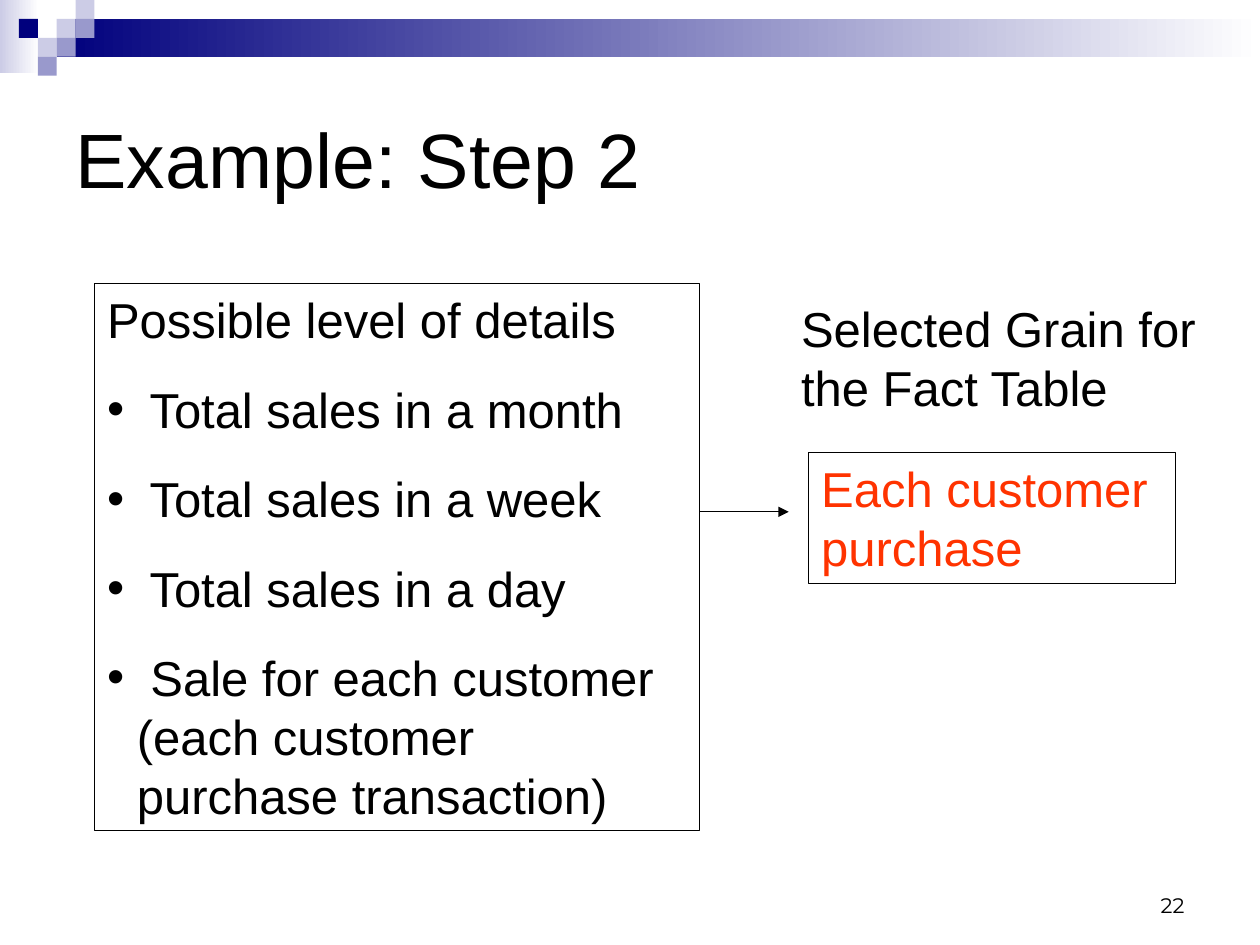
from dataclasses import dataclass
from typing import Optional

from lxml.etree import SubElement
from pptx import Presentation
from pptx.dml.color import RGBColor
from pptx.enum.shapes import MSO_CONNECTOR, MSO_SHAPE
from pptx.enum.text import MSO_ANCHOR, MSO_AUTO_SIZE, PP_ALIGN
from pptx.oxml.ns import qn
from pptx.util import Pt


@dataclass(frozen=True)
class Theme:
    ink: str = "000000"
    accent: str = "FF3300"
    navy: str = "00007D"
    lilac: str = "CCCCE6"
    violet: str = "9999CC"
    white: str = "FFFFFF"
    font: str = "Arial"
    number_font: str = "Montserrat"
    title_size: float = 44
    text_size: float = 28
    number_size: float = 12
    line_width: float = 0.75
    paragraph_gap: float = 17.5
    hanging: float = 17


@dataclass(frozen=True)
class Box:
    left: float
    top: float
    width: float
    height: float


@dataclass(frozen=True)
class Block:
    box: Box
    color: str
    fade_to: Optional[str] = None


THEME = Theme()
TILE = 10.8

# Header band, then tiles placed by column and row
BANDS = [
    Block(Box(0, 0, 22.3, 41.8), THEME.lilac, THEME.white),
    Block(Box(32.4, 10.8, 687.6, 21.6), THEME.navy, THEME.white),
]
TILES = [
    (3, 1, THEME.lilac), (4, 0, THEME.lilac), (4, 1, THEME.violet),
    (2, 2, THEME.lilac), (1, 1, THEME.navy), (3, 2, THEME.violet),
    (2, 3, THEME.violet),
]
DETAILS = [
    " Total sales in a month",
    " Total sales in a week",
    " Total sales in a day",
    " Sale for each customer (each customer purchase transaction)",
]


def rgb(color: str) -> RGBColor:
    return RGBColor.from_string(color)


def place(shape, box: Box) -> None:
    shape.left, shape.top = Pt(box.left), Pt(box.top)
    shape.width, shape.height = Pt(box.width), Pt(box.height)


def draw_block(slide, block: Block) -> None:
    box = block.box
    shape = slide.shapes.add_shape(
        MSO_SHAPE.RECTANGLE, Pt(box.left), Pt(box.top), Pt(box.width), Pt(box.height))
    shape.shadow.inherit = False
    shape.line.fill.background()
    if block.fade_to is None:
        shape.fill.solid()
        shape.fill.fore_color.rgb = rgb(block.color)
        return
    shape.fill.gradient()
    shape.fill.gradient_angle = 0
    for stop, color, position in zip(
            shape.fill.gradient_stops, (block.color, block.fade_to), (0, 1)):
        stop.color.rgb = rgb(color)
        stop.position = position


def style(paragraph, size: float, color: str = THEME.ink, font: str = THEME.font) -> None:
    paragraph.font.size = Pt(size)
    paragraph.font.name = font
    paragraph.font.color.rgb = rgb(color)


def set_bullet(paragraph, bulleted: bool) -> None:
    properties = paragraph._p.get_or_add_pPr()
    hanging = Pt(THEME.hanging) if bulleted else 0
    properties.set("marL", str(hanging))
    properties.set("indent", str(-hanging))
    if bulleted:
        SubElement(properties, qn("a:buFont"), typeface=THEME.font)
        SubElement(properties, qn("a:buChar"), char="•")
    else:
        SubElement(properties, qn("a:buNone"))


def outline(shape) -> None:
    shape.line.color.rgb = rgb(THEME.ink)
    shape.line.width = Pt(THEME.line_width)


def draw_text(slide, box: Box, text: str, size: float,
              color: str = THEME.ink, font: str = THEME.font):
    shape = slide.shapes.add_textbox(
        Pt(box.left), Pt(box.top), Pt(box.width), Pt(box.height))
    shape.text_frame.word_wrap = True
    paragraph = shape.text_frame.paragraphs[0]
    paragraph.text = text
    style(paragraph, size, color, font)
    return shape


def draw_details(body, heading: str, details: list[str]) -> None:
    place(body, Box(54, 162, 345.6, 312.5))
    outline(body)
    frame = body.text_frame
    frame.auto_size = MSO_AUTO_SIZE.NONE
    frame.vertical_anchor = MSO_ANCHOR.TOP
    for index, text in enumerate([heading, *details]):
        paragraph = frame.add_paragraph() if index else frame.paragraphs[0]
        paragraph.text = text
        paragraph.space_before = Pt(THEME.paragraph_gap if index else 0)
        set_bullet(paragraph, index > 0)
        style(paragraph, THEME.text_size)


def draw_arrow(slide, start: float, end: float, y: float) -> None:
    arrow = slide.shapes.add_connector(
        MSO_CONNECTOR.STRAIGHT, Pt(start), Pt(y), Pt(end), Pt(y))
    outline(arrow)
    SubElement(arrow.line._get_or_add_ln(), qn("a:tailEnd"), type="triangle")
    SubElement(arrow._element.spPr, qn("a:effectLst"))


def main() -> None:
    deck = Presentation()
    deck.slide_width, deck.slide_height = Pt(720), Pt(540)
    slide = deck.slides.add_slide(deck.slide_layouts[1])
    title, body = slide.placeholders

    # Header decoration
    tiles = [Block(Box(column * TILE, row * TILE, TILE, TILE), color)
             for column, row, color in TILES]
    for block in BANDS + tiles:
        draw_block(slide, block)

    # Title
    place(title, Box(36, 36, 648, 108))
    title.text_frame.text = "Example: Step 2"
    title.text_frame.vertical_anchor = MSO_ANCHOR.MIDDLE
    heading = title.text_frame.paragraphs[0]
    heading.alignment = PP_ALIGN.LEFT
    style(heading, THEME.title_size)

    # Candidate levels of detail, leading to the selected grain
    draw_details(body, "Possible level of details", DETAILS)
    draw_arrow(slide, 399.6, 450.7, 292.5)
    grain = draw_text(slide, Box(462.2, 258.5, 209.5, 74.9),
                      "Each customer purchase", THEME.text_size, THEME.accent)
    outline(grain)
    draw_text(slide, Box(450.7, 167, 244.1, 74.9),
              "Selected Grain for the Fact Table", THEME.text_size)

    # Slide number
    number = draw_text(slide, Box(516.2, 491.8, 167.8, 36), "22",
                       THEME.number_size, font=THEME.number_font)
    number.text_frame.vertical_anchor = MSO_ANCHOR.BOTTOM
    number.text_frame.paragraphs[0].alignment = PP_ALIGN.RIGHT

    deck.save("out.pptx")


if __name__ == "__main__":
    main()
